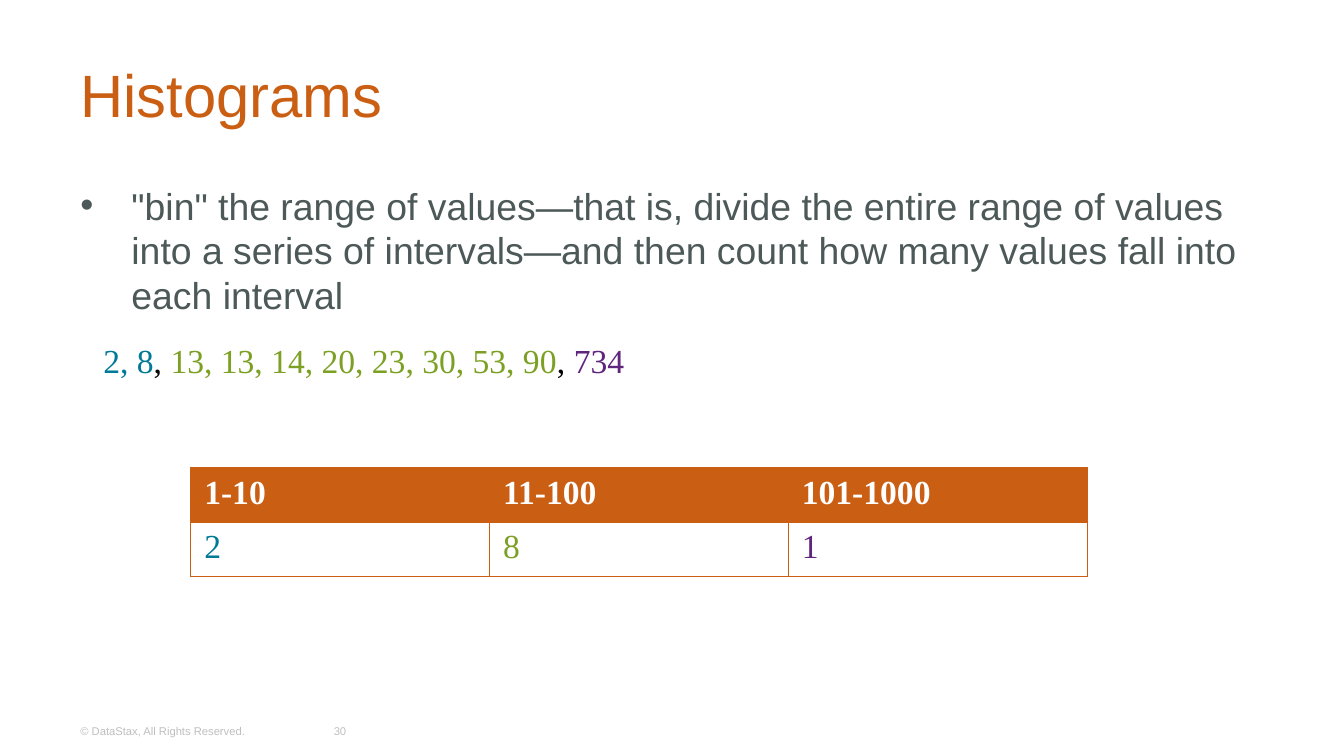
from dataclasses import dataclass

from lxml.etree import SubElement
from pptx import Presentation
from pptx.dml.color import RGBColor
from pptx.enum.text import MSO_ANCHOR, PP_ALIGN
from pptx.oxml.ns import qn
from pptx.slide import Slide
from pptx.table import _Cell
from pptx.text.text import TextFrame
from pptx.util import Emu, Inches, Pt

WIDTH = Inches(10)
HEIGHT = Emu(WIDTH * 9 // 16)
ORANGE, SLATE, SILVER = "CA5F14", "4C5958", "BFBFBF"
TEAL, GREEN, PURPLE = "007A97", "7CA023", "60257D"
BLACK, WHITE = "000000", "FFFFFF"
SERIF = "Times New Roman"


@dataclass(frozen=True)
class Area:
    """A region in percent of the slide's width and height."""
    left: float
    top: float
    width: float
    height: float

    def box(self) -> tuple[Emu, Emu, Emu, Emu]:
        """Return left, top, width and height as lengths."""
        return (Emu(round(WIDTH * self.left / 100)), Emu(round(HEIGHT * self.top / 100)),
                Emu(round(WIDTH * self.width / 100)), Emu(round(HEIGHT * self.height / 100)))


@dataclass(frozen=True)
class Bin:
    """One interval of the histogram with its count."""
    interval: str
    count: int
    color: str


BINS = [Bin("1-10", 2, TEAL), Bin("11-100", 8, GREEN), Bin("101-1000", 1, PURPLE)]
SAMPLE = [("2, 8", TEAL), (", ", BLACK), ("13, 13, 14, 20, 23, 30, 53, 90", GREEN),
          (", ", BLACK), ("734", PURPLE)]


def rgb(color: str) -> RGBColor:
    """Turn a hex string into a colour."""
    return RGBColor.from_string(color)


def write(frame: TextFrame, pieces: list[tuple[str, str]], *, size: float, font: str = "Arial",
          bold: bool = False, align: PP_ALIGN = PP_ALIGN.LEFT, bullet: bool = False) -> None:
    """Write coloured pieces of text into the frame's first paragraph."""
    paragraph = frame.paragraphs[0]
    paragraph.alignment = align
    if bullet:
        properties = paragraph._p.get_or_add_pPr()
        properties.set("marL", str(Inches(0.38)))
        properties.set("indent", str(-Inches(0.38)))
        SubElement(properties, qn("a:buFont"), typeface="Arial")
        SubElement(properties, qn("a:buChar"), char="•")
    for text, color in pieces:
        run = paragraph.add_run()
        run.text = text
        run.font.size, run.font.name, run.font.bold = Pt(size), font, bold
        run.font.color.rgb = rgb(color)


def add_frame(slide: Slide, area: Area, *, anchor: MSO_ANCHOR = MSO_ANCHOR.TOP,
              wrap: bool = True) -> TextFrame:
    """Add a text box and return its frame."""
    frame = slide.shapes.add_textbox(*area.box()).text_frame
    frame.word_wrap = wrap
    frame.vertical_anchor = anchor
    return frame


def outline(cell: _Cell, color: str, outer: set[str]) -> None:
    """Draw a cell's borders, thinner on the outer sides of the table."""
    properties = cell._tc.get_or_add_tcPr()
    for position, side in enumerate("LRTB"):
        weight = Pt(0.75 if side in outer else 1)
        line = SubElement(properties, qn(f"a:ln{side}"), w=str(weight))
        properties.insert(position, line)
        SubElement(SubElement(line, qn("a:solidFill")), qn("a:srgbClr"), val=color)


def add_bins(slide: Slide, area: Area, bins: list[Bin]) -> None:
    """Add the table of intervals over their counts."""
    table = slide.shapes.add_table(2, len(bins), *area.box()).table
    for column, item in enumerate(bins):
        heading, count = table.cell(0, column), table.cell(1, column)
        heading.fill.solid()
        heading.fill.fore_color.rgb = rgb(ORANGE)
        count.fill.background()
        write(heading.text_frame, [(item.interval, WHITE)], size=18, font=SERIF, bold=True)
        write(count.text_frame, [(str(item.count), item.color)], size=18, font=SERIF)
        ends = {0: {"L"}, len(bins) - 1: {"R"}}.get(column, set())
        outline(heading, ORANGE, ends | {"T"})
        outline(count, ORANGE, ends | {"B"})


def main() -> None:
    """Build and save the histogram slide."""
    deck = Presentation()
    deck.slide_width, deck.slide_height = WIDTH, HEIGHT
    slide = deck.slides.add_slide(deck.slide_layouts[6])
    middle = MSO_ANCHOR.MIDDLE

    title = add_frame(slide, Area(5, 4.09, 90, 16.71), anchor=middle)
    write(title, [("Histograms", ORANGE)], size=32)

    definition = add_frame(slide, Area(5, 23.29, 90, 62.22))
    write(definition, [('"bin" the range of values—that is, divide the entire range of values '
                        "into a series of intervals—and then count how many values fall into "
                        "each interval", SLATE)], size=20, bullet=True)

    copyright_line = add_frame(slide, Area(5, 94.04, 17.4, 5.33), anchor=middle)
    write(copyright_line, [("© DataStax, All Rights Reserved.", SILVER)], size=6)
    page_number = add_frame(slide, Area(23.1, 94.04, 4.4, 5.33), anchor=middle)
    write(page_number, [("30", SILVER)], size=6, align=PP_ALIGN.CENTER)

    sample = add_frame(slide, Area(6.7, 44.09, 41.1, 7.11), wrap=False)
    write(sample, SAMPLE, size=18, font=SERIF)
    add_bins(slide, Area(14.2, 61.87, 66.7, 14.4), BINS)
    deck.save("out.pptx")


if __name__ == "__main__":
    main()
